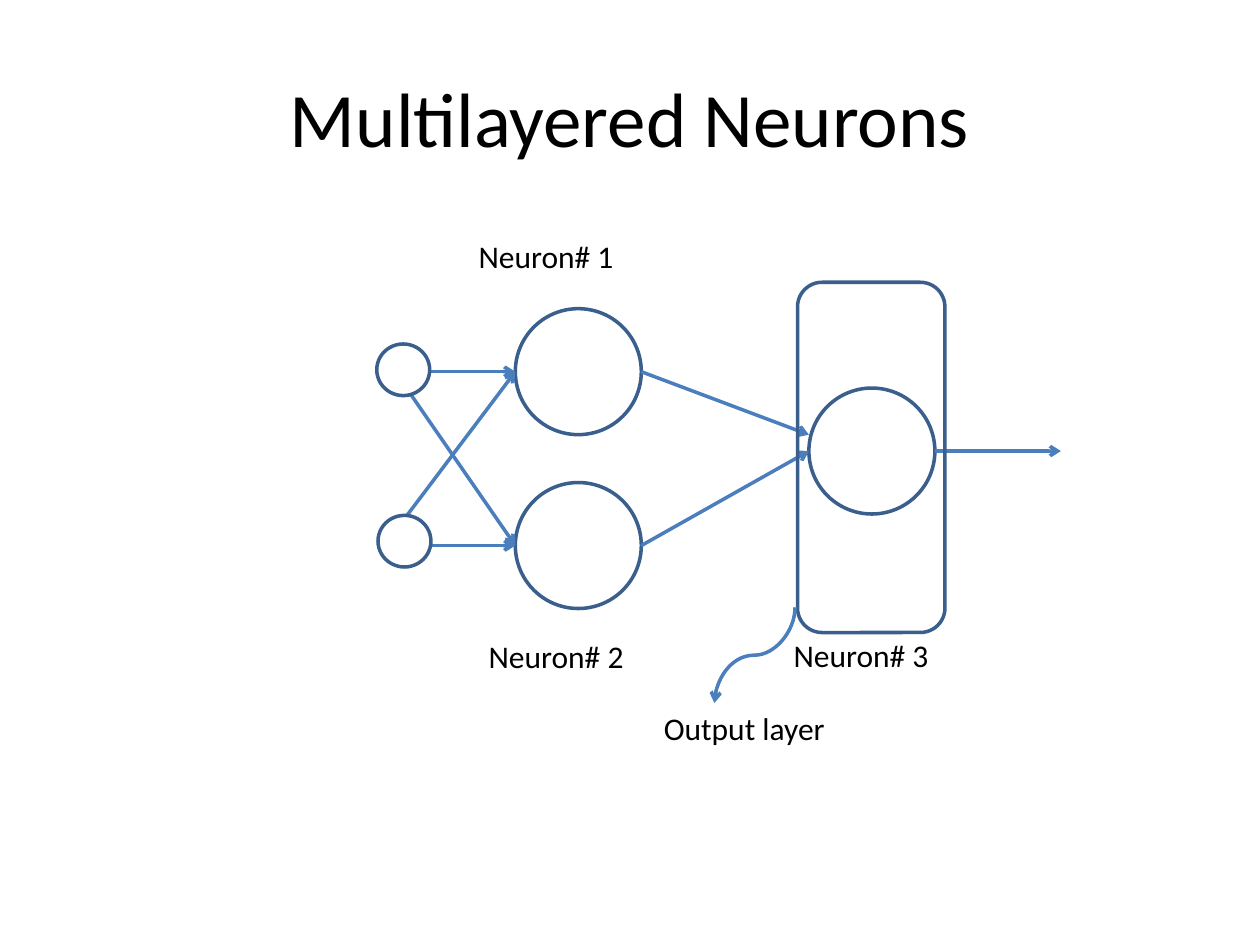
"""Build a slide showing a small network of layered neurons."""
import pptx
import pptx.util
import pptx.dml.color
import pptx.enum.shapes
import pptx.enum.text
import pptx.oxml
import pptx.oxml.ns

Inches = pptx.util.Inches
KIND = pptx.enum.shapes.MSO_SHAPE
LINK = pptx.enum.shapes.MSO_CONNECTOR
ALIGN = pptx.enum.text.PP_ALIGN
ANCHOR = pptx.enum.text.MSO_ANCHOR

EDGE, ARROW, WHITE, BLACK = "3A5F8C", "4B7EBC", "FFFFFF", "000000"
SIZE = 1
TITLE = ("Multilayered Neurons", 0.5, 0.3, 9, 1.25)
LABELS = [
    ("Neuron# 1", 3.7, 1.83, 1.89, 0.4),
    ("Neuron# 2", 3.78, 5.01, 1.89, 0.4),
    ("Neuron# 3", 6.2, 5, 1.89, 0.4),
    ("Output layer", 5.17, 5.58, 1.92, 0.4),
]
HIDDEN = [(4.09, 2.45), (4.09, 3.83)]
FINAL = (6.42, 3.08)
INPUTS = [(2.99, 2.73), (3, 4.09)]
FRAME = (6.33, 2.24, 1.17, 2.78)
START = 3.08
CROSS = [2.87, 4.29]
ENDS = [3.45, 3.58]
CURVE = (5.61, 4.88, 6.37, 5.52)


def paint(color, code):
    color.rgb = pptx.dml.color.RGBColor.from_string(code)


def outline(item, code):
    paint(item.line.color, code)
    item.line.width = pptx.util.Pt(2)


def shape(kind, box, fill=None):
    item = slide.shapes.add_shape(kind, *map(Inches, box))
    item.shadow.inherit = False
    if fill:
        item.fill.solid()
        paint(item.fill.fore_color, fill)
    else:
        item.fill.background()
    outline(item, EDGE)


def circle(left, top, wide=SIZE, high=SIZE):
    shape(KIND.OVAL, (left, top, wide, high), WHITE)


def arrow(ends, kind=LINK.STRAIGHT, turn=0):
    item = slide.shapes.add_connector(kind, *map(Inches, ends))
    outline(item, ARROW)
    props = item._element.spPr
    tag = pptx.oxml.ns.qn
    tail = item.line._get_or_add_ln().makeelement(tag("a:tailEnd"), {"type": "arrow"})
    item.line._get_or_add_ln().append(tail)
    props.append(props.makeelement(tag("a:effectLst"), {}))
    if turn:
        props.find(tag("a:xfrm")).set("rot", str(turn * 60000))


def write(text, *box, size=18, align=ALIGN.LEFT, anchor=ANCHOR.TOP):
    frame = slide.shapes.add_textbox(*map(Inches, box)).text_frame
    frame.word_wrap = True
    frame.vertical_anchor = anchor
    para = frame.paragraphs[0]
    para.alignment = align
    run = para.add_run()
    run.text = text
    run.font.name = "Calibri"
    run.font.size = pptx.util.Pt(size)
    paint(run.font.color, BLACK)


deck = pptx.Presentation()
deck.slide_width, deck.slide_height = Inches(10), Inches(7.5)
slide = deck.slides.add_slide(deck.slide_layouts[6])

write(*TITLE, size=44, align=ALIGN.CENTER, anchor=ANCHOR.MIDDLE)
for spot in HIDDEN + [FINAL]:
    circle(*spot)

mids = [top + SIZE / 2 for left, top in HIDDEN]
near = HIDDEN[0][0]
far = near + SIZE
for mid, cross, end in zip(mids, CROSS, ENDS):
    other = sum(mids) - mid
    arrow((START, mid, near, mid))
    arrow((START, cross, near, other))
    arrow((far, mid, FINAL[0], end))
out, level = FINAL[0] + SIZE, FINAL[1] + SIZE / 2
arrow((out, level, out + 1, level))

for spot in INPUTS:
    circle(*spot, 0.42, 0.41)
shape(KIND.ROUNDED_RECTANGLE, FRAME)
for label in LABELS:
    write(*label)
arrow(CURVE, LINK.CURVE, 90)

deck.save("out.pptx")
